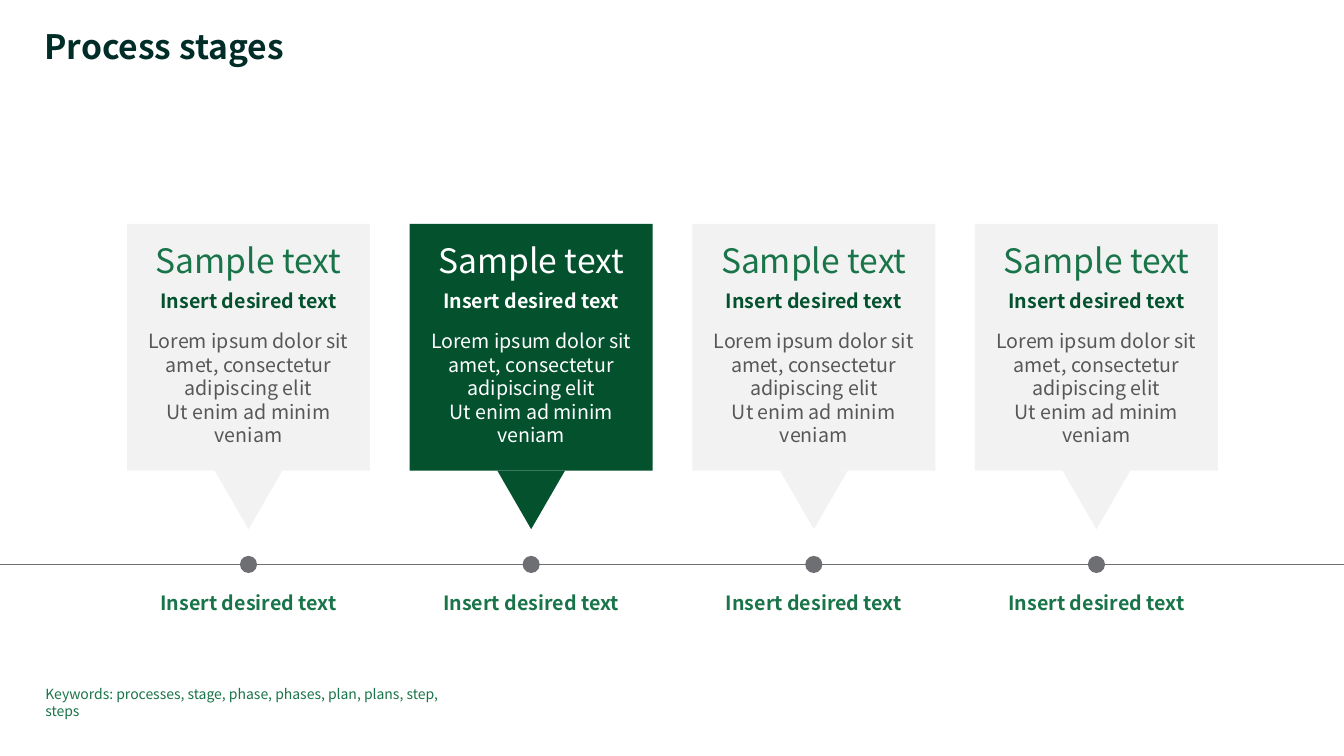
from dataclasses import dataclass

from lxml import etree
from pptx import Presentation
from pptx.dml.color import RGBColor
from pptx.enum.shapes import MSO_CONNECTOR, MSO_SHAPE
from pptx.enum.text import MSO_ANCHOR, PP_ALIGN
from pptx.oxml.ns import qn
from pptx.util import Inches, Pt

RECTANGLE = MSO_SHAPE.RECTANGLE
ROUNDED = MSO_SHAPE.ROUNDED_RECTANGLE
TRIANGLE = MSO_SHAPE.ISOSCELES_TRIANGLE
OVAL = MSO_SHAPE.OVAL
STRAIGHT = MSO_CONNECTOR.STRAIGHT
TOP = MSO_ANCHOR.TOP
LEFT, CENTER = PP_ALIGN.LEFT, PP_ALIGN.CENTER


@dataclass(frozen=True)
class Theme:
    """Colours, font and type sizes of the slide."""
    font: str = "Noto Sans CJK JP"
    title: str = "002D28"
    green: str = "1A7449"
    dark_green: str = "03522D"
    pale: str = "F2F2F2"
    body: str = "575757"
    timeline: str = "6E6F73"
    white: str = "FFFFFF"
    heading_size: int = 24
    text_size: int = 14
    keyword_size: int = 10
    leading: float = 1.2


THEME = Theme()
SLIDE_WIDTH, SLIDE_HEIGHT = 13.33, 7.5
STAGE_LEFT, STAGE_TOP = 1.26, 2.22
STAGE_WIDTH, CARD_HEIGHT = 2.41, 2.45
STAGE_PITCH = 8.41 / 3
TIMELINE_Y = 5.6
HEADING = "Sample text"
SUBHEADING = "Insert desired text"
DESCRIPTION = "Lorem ipsum dolor sit amet, consectetur adipiscing elit\vUt enim ad minim veniam"
STAGES = [
    (HEADING, SUBHEADING, DESCRIPTION, SUBHEADING, highlighted)
    for highlighted in (False, True, False, False)
]


def prepare_frame(frame, inset=0):
    """Give a text frame wrapping, top anchoring and equal insets."""
    frame.word_wrap = True
    frame.vertical_anchor = TOP
    frame.margin_left = frame.margin_right = Inches(inset)
    frame.margin_top = frame.margin_bottom = Inches(inset)
    return frame


def write(paragraph, text, *, size, color, bold=False, align=LEFT, after=0, leading=THEME.leading):
    """Write formatted text into a paragraph."""
    paragraph.text = text
    paragraph.alignment = align
    paragraph.space_before = Pt(0)
    paragraph.space_after = Pt(after)
    paragraph.line_spacing = Pt(size * leading)
    for run in paragraph.runs:
        run.font.name = THEME.font
        run.font.size = Pt(size)
        run.font.bold = bold
        run.font.color.rgb = RGBColor.from_string(color)


def add_block(slide, kind, left, top, width, height, fill=None):
    """Add a borderless preset shape with an optional fill."""
    block = slide.shapes.add_shape(kind, Inches(left), Inches(top), Inches(width), Inches(height))
    block.shadow.inherit = False
    block.line.fill.background()
    if fill:
        block.fill.solid()
        block.fill.fore_color.rgb = RGBColor.from_string(fill)
    else:
        block.fill.background()
    return block


def add_title(slide, left, top, width, height):
    """Place and format the slide title."""
    title = slide.shapes.title
    title.left, title.top = Inches(left), Inches(top)
    title.width, title.height = Inches(width), Inches(height)
    frame = prepare_frame(title.text_frame)
    write(frame.paragraphs[0], "Process stages", size=THEME.heading_size,
          color=THEME.title, bold=True, leading=1.12)


def add_timeline(slide, left, y, width):
    """Draw the horizontal line that joins the stages."""
    timeline = slide.shapes.add_connector(
        STRAIGHT, Inches(left), Inches(y), Inches(left + width), Inches(y))
    timeline.line.color.rgb = RGBColor.from_string(THEME.timeline)
    timeline.line.width = Pt(0.5)
    etree.SubElement(timeline.line._get_or_add_ln().getparent(), qn("a:effectLst"))


def add_card(slide, left, top, width, height, stage):
    """Add a stage card with its downward pointer."""
    heading, subheading, description, _, highlighted = stage
    fill = THEME.dark_green if highlighted else THEME.pale
    colors = ([THEME.white] * 3 if highlighted
              else [THEME.green, THEME.dark_green, THEME.body])
    card = add_block(slide, RECTANGLE, left, top, width, height, fill)
    frame = prepare_frame(card.text_frame, 0.16)
    lines = [
        (heading, THEME.heading_size, False, 6),
        (subheading, THEME.text_size, True, 12),
        (description, THEME.text_size, False, 6),
    ]
    for index, ((text, size, bold, after), color) in enumerate(zip(lines, colors)):
        paragraph = frame.add_paragraph() if index else frame.paragraphs[0]
        write(paragraph, text, size=size, color=color, bold=bold, align=CENTER, after=after)
    pointer_width = 0.67
    pointer = add_block(slide, TRIANGLE, left + (width - pointer_width) / 2,
                        top + height, pointer_width, 0.58, fill)
    pointer.rotation = 180


def add_milestone(slide, left, y, width, text):
    """Add the timeline dot and the label below it."""
    dot = 0.17
    add_block(slide, OVAL, left + (width - dot) / 2, y - dot / 2, dot, dot, THEME.timeline)
    label = add_block(slide, ROUNDED, left, y + 0.26, width, 0.24)
    label.adjustments[0] = 0.06
    write(prepare_frame(label.text_frame).paragraphs[0], text, size=THEME.text_size,
          color=THEME.green, bold=True, align=CENTER)


def add_keywords(slide, left, top, width, height):
    """Add the keyword note at the foot of the slide."""
    note = slide.shapes.add_textbox(Inches(left), Inches(top), Inches(width), Inches(height))
    write(prepare_frame(note.text_frame).paragraphs[0],
          "Keywords: processes, stage, phase, phases, plan, plans, step, steps",
          size=THEME.keyword_size, color=THEME.green)


def main():
    """Build the process stages slide and save it."""
    deck = Presentation()
    deck.slide_width, deck.slide_height = Inches(SLIDE_WIDTH), Inches(SLIDE_HEIGHT)
    slide = deck.slides.add_slide(deck.slide_layouts[5])
    add_title(slide, 0.44, 0.28, 11.03, 0.37)
    add_timeline(slide, 0, TIMELINE_Y, SLIDE_WIDTH)
    for index, stage in enumerate(STAGES):
        left = STAGE_LEFT + index * STAGE_PITCH
        add_card(slide, left, STAGE_TOP, STAGE_WIDTH, CARD_HEIGHT, stage)
        add_milestone(slide, left, TIMELINE_Y, STAGE_WIDTH, stage[3])
    add_keywords(slide, 0.45, 6.8, 4.23, 0.17)
    deck.save("out.pptx")


if __name__ == "__main__":
    main()
